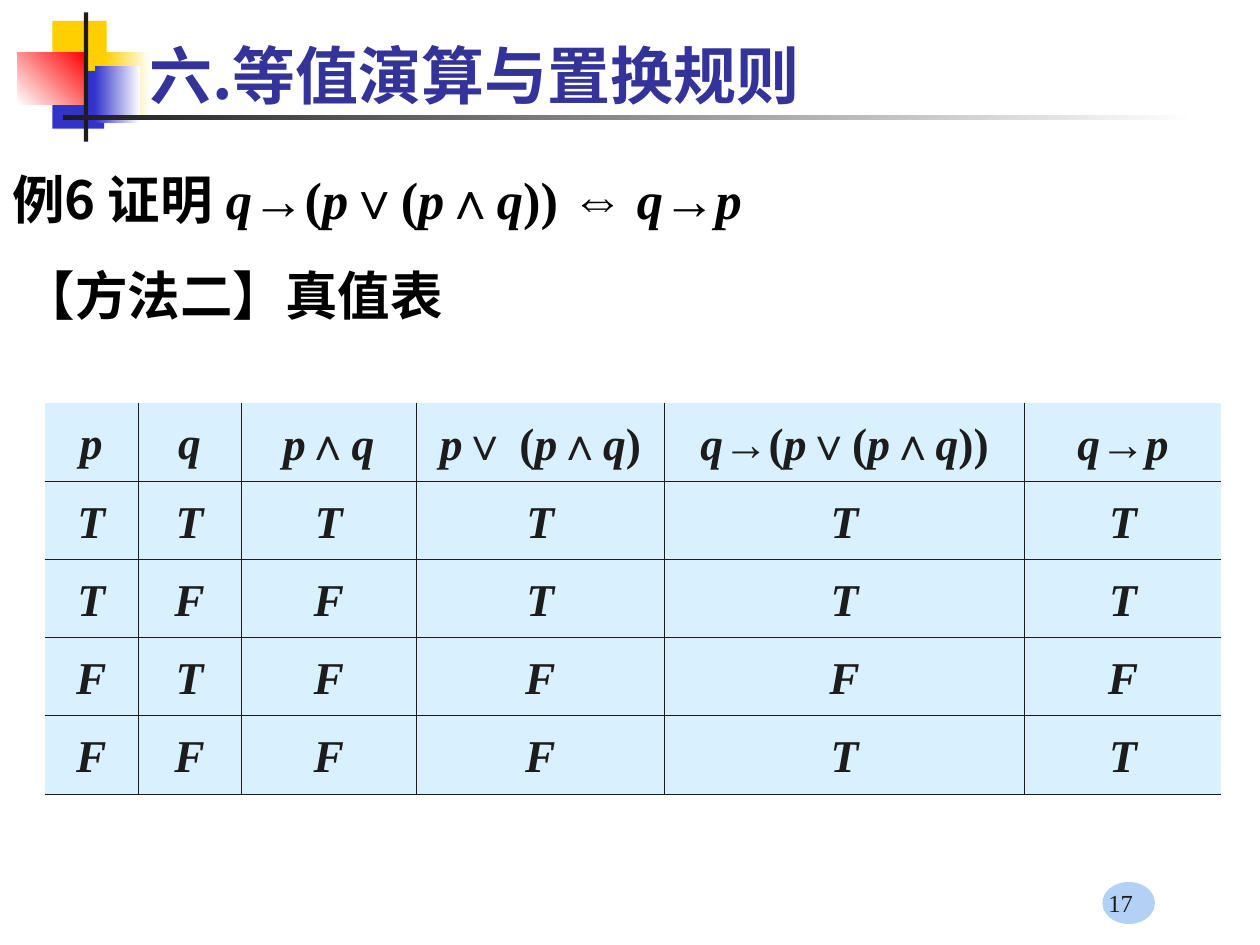
"""Build the truth-table slide on equivalence and replacement rules."""
from dataclasses import dataclass
from itertools import groupby

from lxml import etree
from pptx import Presentation
from pptx.dml.color import RGBColor
from pptx.enum import shapes, text
from pptx.oxml import ns
from pptx.util import Pt

SERIF, SANS, CJK, ROBOTO = "Times New Roman", "Arial", "Noto Sans CJK SC", "Roboto"
INK, BLACK, TITLE_BLUE, CELL_BLUE = "1C1C1C", "000000", "333399", "D9F1FF"
YELLOW, BLUE, RED, WHITE = "FFCF01", "3333CC", "FF0000", "FFFFFF"
OPERATORS = "→∨∧⇔"
RULE_WIDTH = 0.45


@dataclass
class Decoration:
    """A borderless shape with a solid or two-colour fill."""

    left: float
    top: float
    width: float
    height: float
    colors: tuple[str, ...]
    angle: float = 0
    kind: shapes.MSO_SHAPE = shapes.MSO_SHAPE.RECTANGLE


DECORATIONS = [
    Decoration(630, 504, 30, 24, ("B2D1F4",), kind=shapes.MSO_SHAPE.OVAL),
    Decoration(30, 12, 31, 33, (YELLOW,)),
    Decoration(60, 30, 26, 37.5, (YELLOW, WHITE)),
    Decoration(30, 40.5, 29.5, 33, (BLUE,)),
    Decoration(54, 37.5, 26, 33, (BLUE, WHITE)),
    Decoration(10, 30, 39.5, 29.5, (WHITE, RED), angle=45),
    Decoration(48, 7, 2.5, 74, (INK,)),
    Decoration(36, 66, 648, 2.5, (INK, WHITE)),
]
COLUMN_WIDTHS = [53.3, 59, 100.1, 141.8, 205.9, 112.3]
ROW_HEIGHT = 44.7
TRUTH_TABLE = [
    ["p", "q", "p∧q", "p∨ (p∧q)", "q→(p∨(p∧q))", "q→p"],
    *map(list, ["TTTTTT", "TFFTTT", "FTFFFF", "FFFFTT"]),
]


def rgb(value: str) -> RGBColor:
    """Turn a hex string into a colour."""
    return RGBColor.from_string(value)


def add_decoration(slide, item: Decoration) -> None:
    """Draw one decoration."""
    shape = slide.shapes.add_shape(
        item.kind, Pt(item.left), Pt(item.top), Pt(item.width), Pt(item.height)
    )
    shape.shadow.inherit = False
    shape.line.fill.background()
    if len(item.colors) == 1:
        shape.fill.solid()
        shape.fill.fore_color.rgb = rgb(item.colors[0])
        return
    shape.fill.gradient()
    shape.fill.gradient_angle = item.angle
    for stop, color in zip(shape.fill.gradient_stops, item.colors):
        stop.color.rgb = rgb(color)


def add_text(paragraph, content: str, *, size: float, font: str = SERIF,
             color: str = BLACK, bold: bool = True, italic: bool = False) -> None:
    """Append a formatted run to a paragraph."""
    run = paragraph.add_run()
    run.text = content
    run.font.size = Pt(size)
    run.font.name = font
    run.font.bold = bold
    run.font.italic = italic
    run.font.color.rgb = rgb(color)
    etree.SubElement(run.font._element, ns.qn("a:ea"), typeface=font)


def add_formula(paragraph, formula: str, *, size: float, color: str = BLACK) -> None:
    """Append a formula with italic letters and sans-serif operators."""
    for (operator, letter), group in groupby(
        formula, key=lambda symbol: (symbol in OPERATORS, symbol.isalpha())
    ):
        add_text(paragraph, "".join(group), size=size, color=color,
                 font=SANS if operator else SERIF, italic=letter)


def add_text_box(slide, left: float, top: float, width: float, height: float):
    """Add a wrapping text box and return its text frame."""
    frame = slide.shapes.add_textbox(Pt(left), Pt(top), Pt(width), Pt(height)).text_frame
    frame.word_wrap = True
    return frame


def add_title(slide) -> None:
    """Place and format the title."""
    title = slide.shapes.title
    title.left, title.top, title.width, title.height = Pt(78), Pt(18), Pt(613.5), Pt(49)
    frame = title.text_frame
    frame.auto_size = text.MSO_AUTO_SIZE.NONE
    frame.vertical_anchor = text.MSO_ANCHOR.MIDDLE
    paragraph = frame.paragraphs[0]
    paragraph.alignment = text.PP_ALIGN.LEFT
    add_text(paragraph, "六.等值演算与置换规则", size=36, font=CJK, color=TITLE_BLUE)


def set_borders(cell, sides: dict[str, bool]) -> None:
    """Draw or clear each named side of a cell."""
    properties = cell._tc.get_or_add_tcPr()
    for side, visible in sides.items():
        line = etree.SubElement(properties, ns.qn(f"a:ln{side}"), w=str(Pt(RULE_WIDTH)))
        fill = etree.SubElement(line, ns.qn("a:solidFill" if visible else "a:noFill"))
        if visible:
            etree.SubElement(fill, ns.qn("a:srgbClr"), val=INK)


def add_truth_table(slide) -> None:
    """Draw the truth table."""
    last = len(COLUMN_WIDTHS) - 1
    table = slide.shapes.add_table(
        len(TRUTH_TABLE), len(COLUMN_WIDTHS), Pt(25.5), Pt(230.3),
        Pt(sum(COLUMN_WIDTHS)), Pt(ROW_HEIGHT * len(TRUTH_TABLE)),
    ).table
    table.first_row = table.horz_banding = False
    for column, width in zip(table.columns, COLUMN_WIDTHS):
        column.width = Pt(width)
    for row_index, values in enumerate(TRUTH_TABLE):
        table.rows[row_index].height = Pt(ROW_HEIGHT)
        for column_index, value in enumerate(values):
            cell = table.cell(row_index, column_index)
            set_borders(cell, {"L": column_index > 0, "R": column_index < last,
                               "T": row_index > 0, "B": True})
            cell.fill.solid()
            cell.fill.fore_color.rgb = rgb(CELL_BLUE)
            paragraph = cell.text_frame.paragraphs[0]
            paragraph.alignment = text.PP_ALIGN.CENTER
            paragraph.line_spacing = 1.2
            paragraph.space_before = Pt(6.5)
            add_formula(paragraph, value, size=26, color=INK)


def add_example(slide) -> None:
    """Write the statement to prove and the method used."""
    frame = add_text_box(slide, 0, 88.5, 646.5, 113)
    statement, method = frame.paragraphs[0], frame.add_paragraph()
    for paragraph, space in ((statement, 7.5), (method, 15)):
        paragraph.line_spacing = 1.1
        paragraph.space_before = Pt(space)
        properties = paragraph._p.get_or_add_pPr()
        properties.set("marL", str(Pt(27)))
        properties.set("indent", str(Pt(-27)))
    add_text(statement, "例6 ", size=30, font=CJK)
    add_text(statement, "证明 ", size=30, font=ROBOTO)
    add_formula(statement, "q→(p∨(p∧q)) ⇔ q→p", size=30)
    add_text(method, " ", size=24, font=ROBOTO)
    add_text(method, "【方法二】真值表", size=30, font=ROBOTO)


def add_page_number(slide) -> None:
    """Write the page number over its oval."""
    frame = add_text_box(slide, 504.5, 492, 150, 36)
    frame.vertical_anchor = text.MSO_ANCHOR.BOTTOM
    paragraph = frame.paragraphs[0]
    paragraph.alignment = text.PP_ALIGN.RIGHT
    add_text(paragraph, "17", size=14, color=INK, bold=False)


def main() -> None:
    """Build and save the presentation."""
    presentation = Presentation()
    presentation.slide_width, presentation.slide_height = Pt(720), Pt(540)
    slide = presentation.slides.add_slide(presentation.slide_layouts[5])
    for item in DECORATIONS:
        add_decoration(slide, item)
    add_title(slide)
    slide.shapes._spTree.append(slide.shapes.title._element)
    add_truth_table(slide)
    add_example(slide)
    add_page_number(slide)
    presentation.save("out.pptx")


if __name__ == "__main__":
    main()
